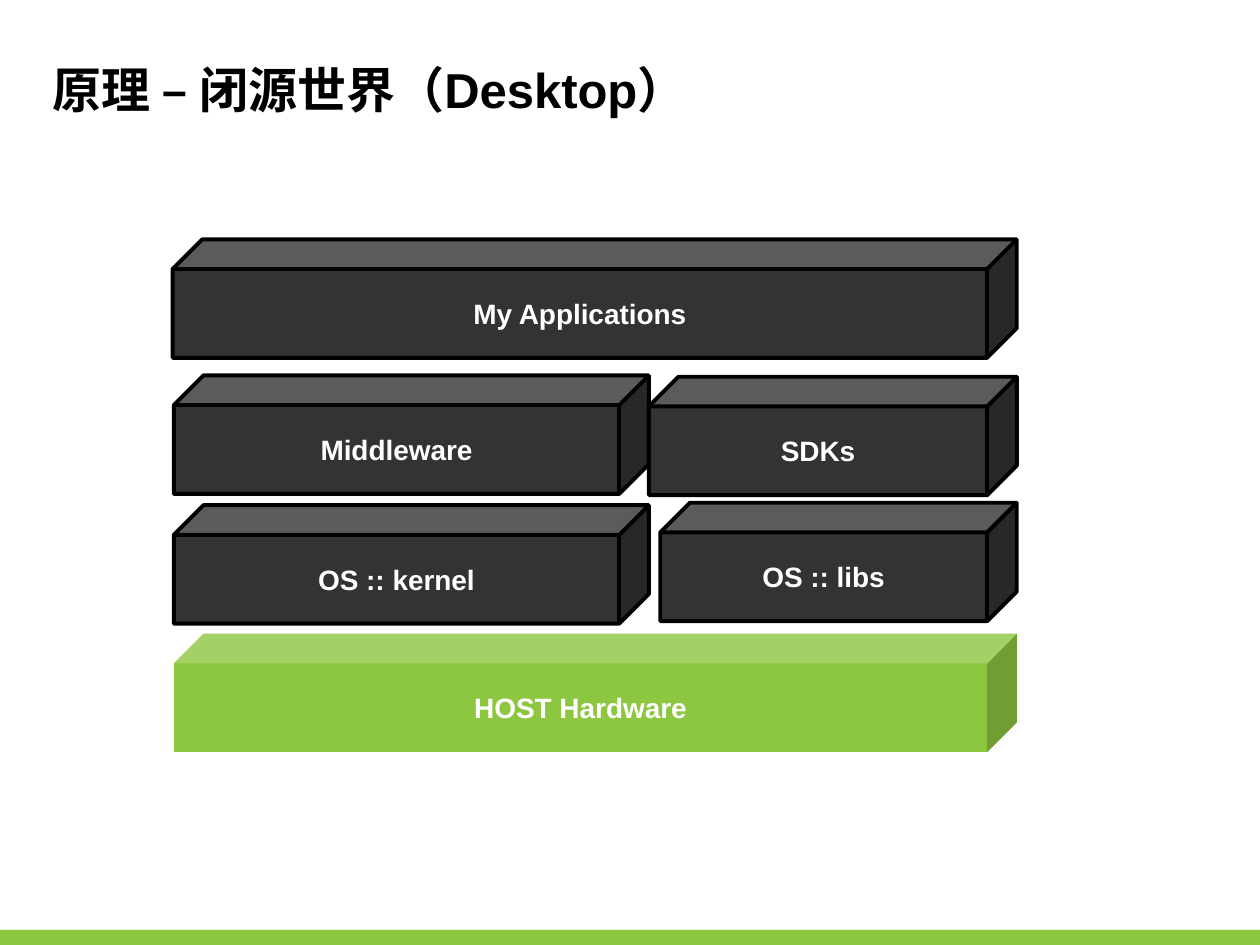
from pptx import Presentation
from pptx.dml.color import RGBColor
from pptx.enum import shapes, text
from pptx.util import Inches, Pt

GREEN = RGBColor(0x8D, 0xC6, 0x3F)
CHARCOAL = RGBColor(0x33, 0x33, 0x33)
BLACK = RGBColor(0, 0, 0)
WHITE = RGBColor(0xFF, 0xFF, 0xFF)

LEFT, RIGHT = 1.38, 8.07
SPLIT = 5.15
BLOCK_HEIGHT = 0.94


def write_text(frame, words, size, color, align, anchor, inset=0, line_spacing=None):
    frame.word_wrap = True
    frame.auto_size = text.MSO_AUTO_SIZE.NONE
    frame.vertical_anchor = anchor
    frame.margin_left = frame.margin_right = Inches(inset)
    frame.margin_top = frame.margin_bottom = Inches(inset)
    para = frame.paragraphs[0]
    para.alignment = align
    para.space_before = Pt(0)
    if line_spacing:
        para.line_spacing = line_spacing
    span = para.add_run()
    span.text = words
    span.font.name = "Arial"
    span.font.size = Pt(size)
    span.font.bold = True
    span.font.color.rgb = color


def add_solid(page, kind, left, top, width, height, fill, outline=None):
    shape = page.shapes.add_shape(
        kind, Inches(left), Inches(top), Inches(width), Inches(height))
    shape.shadow.inherit = False
    shape.fill.solid()
    shape.fill.fore_color.rgb = fill
    if outline is None:
        shape.line.fill.background()
    else:
        shape.line.color.rgb = outline
        shape.line.width = Pt(2.25)
    return shape


def add_block(page, label, left, top, right, fill=CHARCOAL, outline=BLACK):
    block = add_solid(page, shapes.MSO_SHAPE.CUBE, left, top, right - left,
                      BLOCK_HEIGHT, fill, outline)
    write_text(block.text_frame, label, 16, WHITE, text.PP_ALIGN.CENTER,
               text.MSO_ANCHOR.MIDDLE, inset=0.04)


def set_title(page, words):
    title = page.shapes.title
    title.left, title.top = Inches(0.42), Inches(0.56)
    title.width, title.height = Inches(9.14), Inches(1.14)
    write_text(title.text_frame, words, 28, BLACK, text.PP_ALIGN.LEFT,
               text.MSO_ANCHOR.TOP, line_spacing=0.8)


def main():
    deck = Presentation()
    deck.slide_width, deck.slide_height = Inches(10), Inches(7.5)
    page = deck.slides.add_slide(deck.slide_layouts[5])

    add_solid(page, shapes.MSO_SHAPE.RECTANGLE, 0, 7.38, 10, 0.12, GREEN)
    set_title(page, "原理 – 闭源世界（Desktop）")

    add_block(page, "HOST Hardware", LEFT, 5.03, RIGHT, fill=GREEN, outline=None)
    add_block(page, "OS :: kernel", LEFT, 4.01, SPLIT)
    add_block(page, "OS :: libs", 5.24, 3.99, RIGHT)
    add_block(page, "Middleware", LEFT, 2.98, SPLIT)
    add_block(page, "SDKs", SPLIT, 2.99, RIGHT)
    add_block(page, "My Applications", 1.37, 1.9, RIGHT)

    deck.save("out.pptx")


if __name__ == "__main__":
    main()
